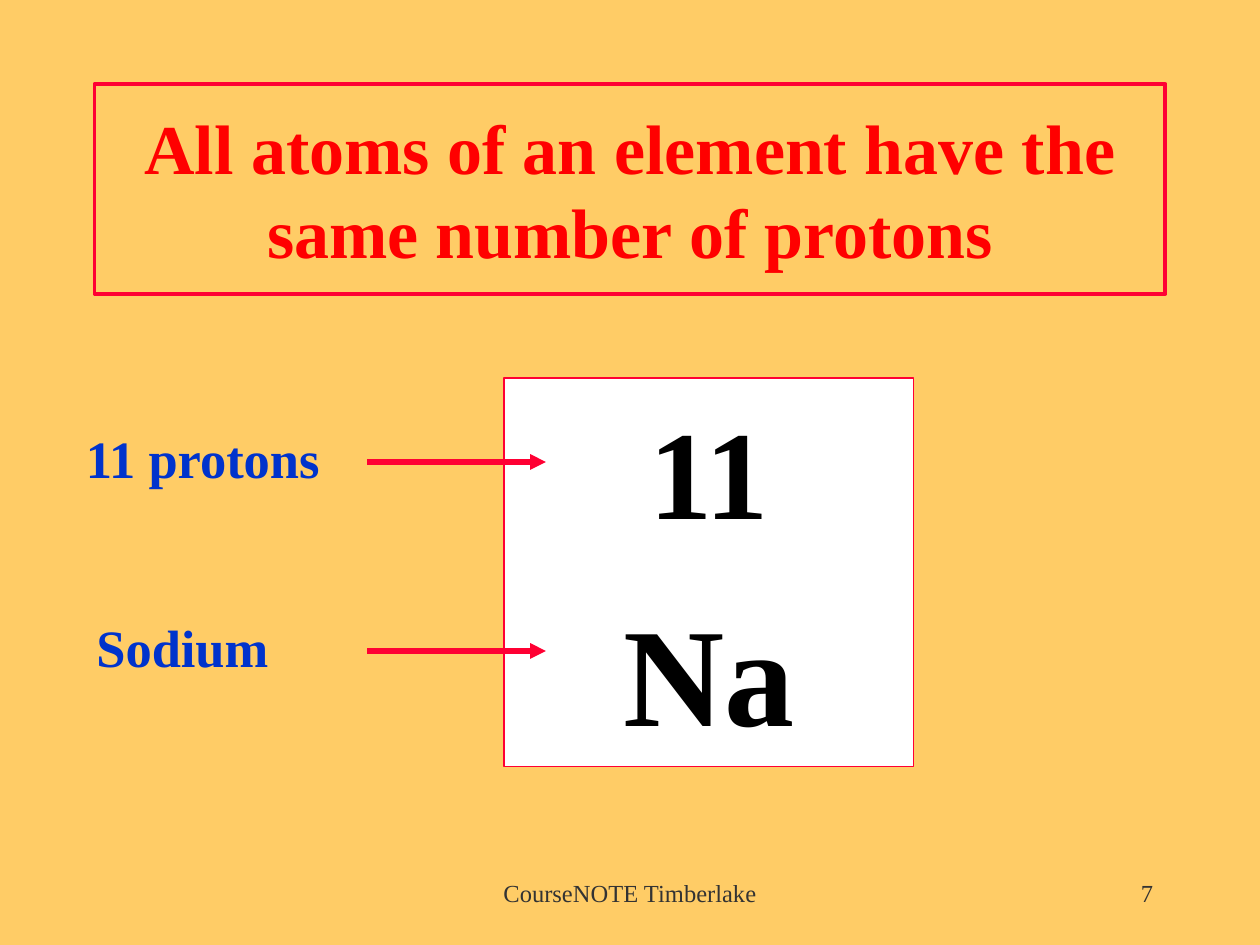
"""Build a slide stating that every atom of an element has the same number of protons."""
from lxml import etree
from pptx import Presentation
from pptx.dml.color import RGBColor
from pptx.enum.shapes import MSO_CONNECTOR, MSO_SHAPE
from pptx.enum.text import MSO_ANCHOR, MSO_AUTO_SIZE, PP_ALIGN
from pptx.oxml.ns import qn
from pptx.util import Inches, Pt

LEFT, CENTER, RIGHT = PP_ALIGN.LEFT, PP_ALIGN.CENTER, PP_ALIGN.RIGHT
TOP, MIDDLE = MSO_ANCHOR.TOP, MSO_ANCHOR.MIDDLE
THEME = {
    "font": "Times New Roman",
    "background": "FFCC66", "accent": "FF0033", "title": "FF0000",
    "tile": "FFFFFF", "symbol": "000000", "label": "0033CC", "footer": "333333",
    "title_size": 40, "number_size": 72, "symbol_size": 80,
    "label_size": 30, "footer_size": 14,
}
COLUMNS, ROWS = 120, 90


def color(role):
    return RGBColor.from_string(THEME[role])


def format_text(paragraph, role, size, align, bold=True):
    paragraph.alignment = align
    for run in paragraph.runs:
        run.font.name = THEME["font"]
        run.font.size = Pt(THEME[size])
        run.font.bold = bold
        run.font.color.rgb = color(role)


deck = Presentation()
deck.slide_width, deck.slide_height = Inches(10), Inches(7.5)
column, row = deck.slide_width // COLUMNS, deck.slide_height // ROWS
slide = deck.slides.add_slide(deck.slide_layouts[5])
slide.background.fill.solid()
slide.background.fill.fore_color.rgb = color("background")

title = slide.shapes.title
title.left, title.top = 9 * column, 8 * row
title.width, title.height = 102 * column, 20 * row
title.line.color.rgb = color("accent")
title.line.width = Pt(2.25)
title.text_frame.text = "All atoms of an element have the same number of protons"
title.text_frame.auto_size = MSO_AUTO_SIZE.NONE
title.text_frame.vertical_anchor = MIDDLE
format_text(title.text_frame.paragraphs[0], "title", "title_size", CENTER)

element_tile = slide.shapes.add_shape(
    MSO_SHAPE.RECTANGLE, 48 * column, 36 * row, 39 * column, 37 * row)
element_tile.shadow.inherit = False
element_tile.fill.solid()
element_tile.fill.fore_color.rgb = color("tile")
element_tile.line.color.rgb = color("accent")
element_tile.line.width = Pt(0.75)
element_tile.text_frame.text = "11\nNa"
element_tile.text_frame.vertical_anchor = TOP
element_tile.text_frame.margin_top = Inches(0.12)
atomic_number, symbol = element_tile.text_frame.paragraphs
format_text(atomic_number, "symbol", "number_size", CENTER)
format_text(symbol, "symbol", "symbol_size", CENTER)
symbol.space_before = Pt(24)

captions = [
    ("11 protons", 7, 40, 25, 7, "label", LEFT, TOP),
    ("Sodium", 8, 58, 19, 7, "label", LEFT, TOP),
    ("CourseNOTE Timberlake", 41, 82, 38, 6, "footer", CENTER, MIDDLE),
    ("7", 86, 82, 25, 6, "footer", RIGHT, MIDDLE),
]
for wording, x, y, width, height, role, align, anchor in captions:
    caption = slide.shapes.add_textbox(
        x * column, y * row, width * column, height * row).text_frame
    caption.text = wording
    caption.word_wrap = role == "footer"
    caption.vertical_anchor = anchor
    format_text(caption.paragraphs[0], role, f"{role}_size", align, role == "label")

for y in (62, 44):
    arrow = slide.shapes.add_connector(
        MSO_CONNECTOR.STRAIGHT, 35 * column, y * row, 52 * column, y * row)
    arrow.line.color.rgb = color("accent")
    arrow.line.width = Pt(3)
    etree.SubElement(arrow.line._get_or_add_ln(), qn("a:tailEnd"), type="triangle")
    etree.SubElement(arrow._element.spPr, qn("a:effectLst"))

deck.save("out.pptx")
